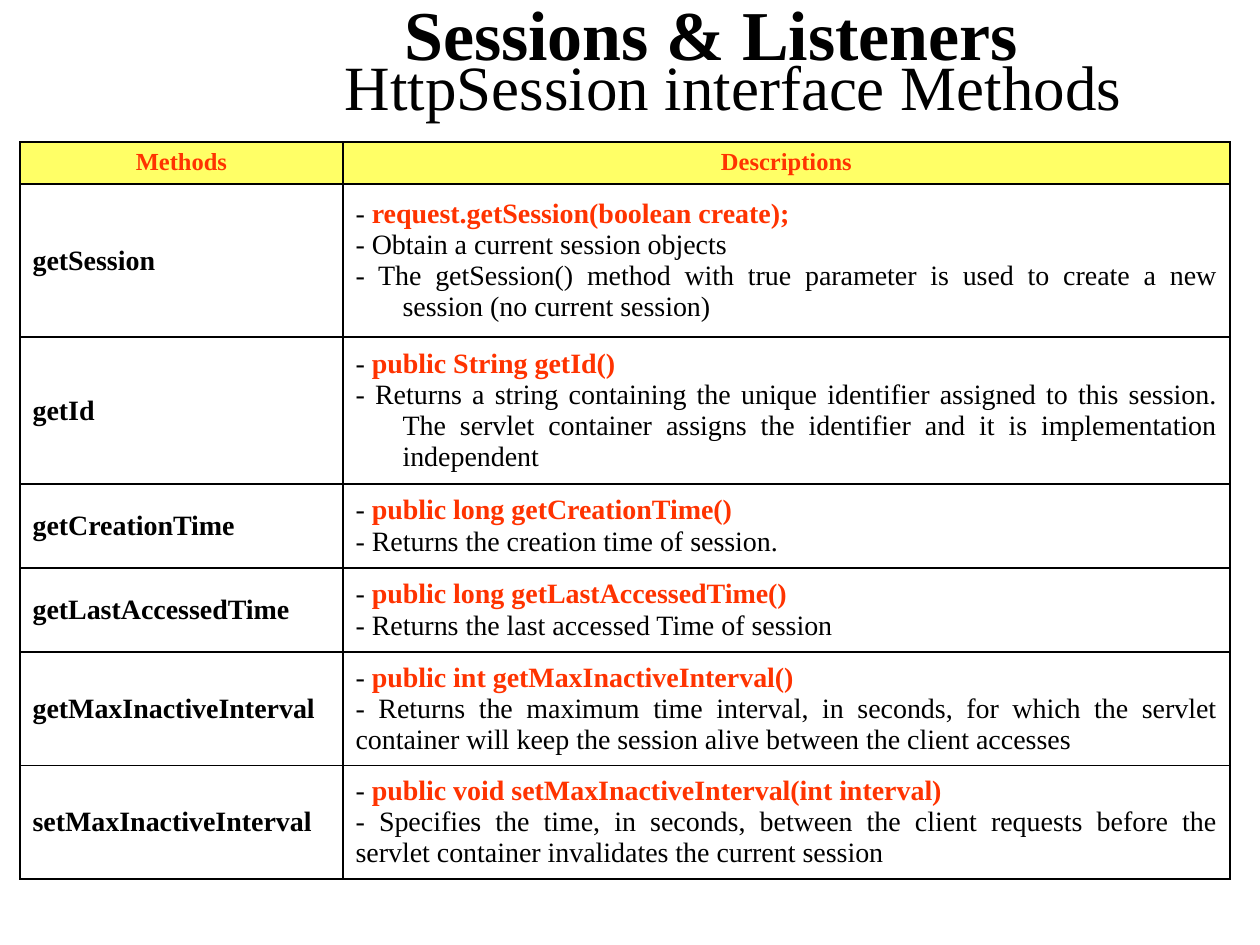
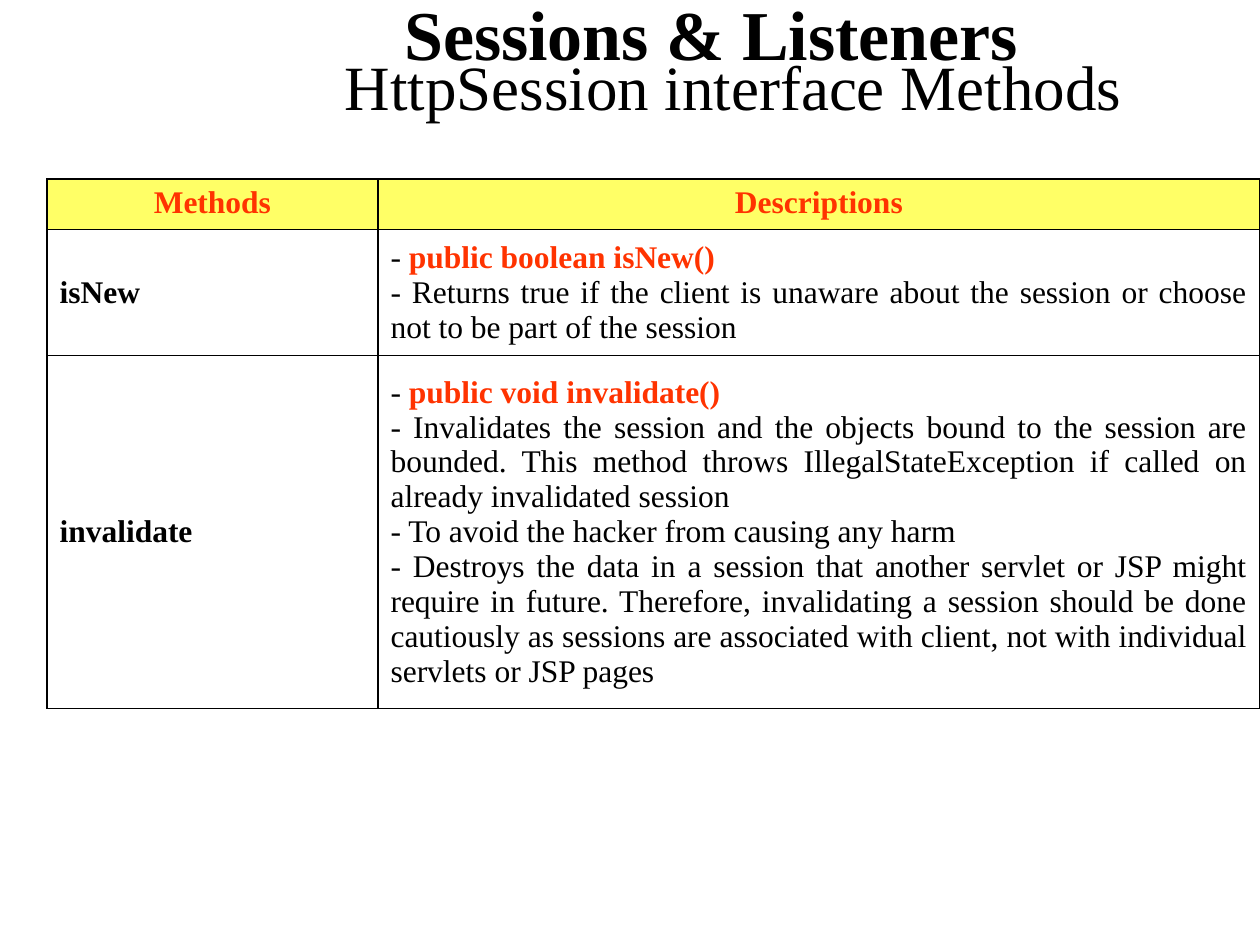
from dataclasses import dataclass

from lxml import etree
from pptx import Presentation
from pptx.dml.color import RGBColor
from pptx.enum.text import MSO_ANCHOR, PP_ALIGN
from pptx.oxml.ns import qn
from pptx.util import Emu, Pt

MIDDLE = MSO_ANCHOR.MIDDLE
TOP = MSO_ANCHOR.TOP
LEFT, CENTER, JUSTIFY = PP_ALIGN.LEFT, PP_ALIGN.CENTER, PP_ALIGN.JUSTIFY
EMU_PER_PX = 914400 / 126


@dataclass(frozen=True)
class Theme:
    font: str = "Times New Roman"
    ink: str = "000000"
    accent: str = "FF3300"
    header_fill: str = "FFFF66"
    border_pt: int = 1
    topic_size: int = 40
    topic_gap_size: int = 48
    subtitle_gap_size: int = 54
    subtitle_size: int = 36
    title_spacing: float = 0.45
    hanging_px: int = 47


THEME = Theme()
TITLE_BOX = (183, 0, 1077, 145)
HEADINGS = ("Methods", "Descriptions")


@dataclass(frozen=True)
class Method:
    name: str
    signature: str
    notes: tuple
    height: int
    hanging: bool = False


@dataclass(frozen=True)
class MethodTable:
    origin: tuple
    columns: tuple
    header_height: int
    header_size: int
    body_size: int
    methods: tuple


SESSION_ACCESS = MethodTable(
    (20, 142), (323, 887), 42, 14, 16,
    (
        Method("getSession", "request.getSession(boolean create);", (
            "Obtain a current session objects",
            "The getSession() method with true parameter is used to create a new "
            "session (no current session)",
        ), 153, True),
        Method("getId", "public String getId()", (
            "Returns a string containing the unique identifier assigned to this session. "
            "The servlet container assigns the identifier and it is implementation independent",
        ), 147, True),
        Method("getCreationTime", "public long getCreationTime()", (
            "Returns the creation time of session.",
        ), 84, True),
        Method("getLastAccessedTime", "public long getLastAccessedTime()", (
            "Returns the last accessed Time of session",
        ), 84),
        Method("getMaxInactiveInterval", "public int getMaxInactiveInterval()", (
            "Returns the maximum time interval, in seconds, for which the servlet "
            "container will keep the session alive between the client accesses",
        ), 113),
        Method("setMaxInactiveInterval", "public void setMaxInactiveInterval(int interval)", (
            "Specifies the time, in seconds, between the client requests before the "
            "servlet container invalidates the current session",
        ), 113),
    ),
)

SESSION_END = MethodTable(
    (47, 179), (331, 882), 50, 18, 18,
    (
        Method("isNew", "public boolean isNew()", (
            "Returns true if the client is unaware about the session or choose "
            "not to be part of the session",
        ), 126),
        Method("invalidate", "public void invalidate()", (
            "Invalidates the session and the objects bound to the session are bounded. "
            "This method throws IllegalStateException if called on already invalidated session",
            "To avoid the hacker from causing any harm",
            "Destroys the data in a session that another servlet or JSP might require in future. "
            "Therefore, invalidating a session should be done cautiously as sessions are "
            "associated with client, not with individual servlets or JSP pages",
        ), 353),
    ),
)


def px(length):
    return Emu(round(length * EMU_PER_PX))


def add_run(paragraph, text, size, color=THEME.ink, bold=False):
    run = paragraph.add_run()
    run.text = text
    run.font.name = THEME.font
    run.font.size = Pt(size)
    run.font.bold = bold
    run.font.color.rgb = RGBColor.from_string(color)


def add_title(slide, box):
    frame = slide.shapes.add_textbox(*map(px, box)).text_frame
    frame.word_wrap = True
    frame.vertical_anchor = MIDDLE
    heading = frame.paragraphs[0]
    heading.alignment = CENTER
    heading.line_spacing = THEME.title_spacing
    add_run(heading, "Sessions & Listeners", THEME.topic_size, bold=True)
    add_run(heading, " ", THEME.topic_gap_size, bold=True)
    heading.add_line_break()
    add_run(heading, " ", THEME.subtitle_gap_size, bold=True)
    add_run(heading, "HttpSession interface Methods", THEME.subtitle_size)


def style_cell(cell, anchor, fill=None):
    cell.vertical_anchor = anchor
    properties = cell._tc.get_or_add_tcPr()
    for side in ("a:lnL", "a:lnR", "a:lnT", "a:lnB"):
        border = etree.SubElement(properties, qn(side), w=str(Pt(THEME.border_pt)))
        solid = etree.SubElement(border, qn("a:solidFill"))
        etree.SubElement(solid, qn("a:srgbClr"), val=THEME.ink)
    if fill:
        cell.fill.solid()
        cell.fill.fore_color.rgb = RGBColor.from_string(fill)
    else:
        cell.fill.background()


def write_line(paragraph, runs, size, alignment, hanging=False):
    paragraph.alignment = alignment
    if hanging:
        indent = px(THEME.hanging_px)
        properties = paragraph._p.get_or_add_pPr()
        properties.set("marL", str(indent))
        properties.set("indent", str(-indent))
    for text, color, bold in runs:
        add_run(paragraph, text, size, color, bold)


def fill_method_row(name_cell, description_cell, method, size):
    for cell in (name_cell, description_cell):
        style_cell(cell, MIDDLE)
    write_line(name_cell.text_frame.paragraphs[0],
               [(method.name, THEME.ink, True)], size, LEFT, method.hanging)
    description = description_cell.text_frame
    write_line(description.paragraphs[0],
               [("- ", THEME.ink, False), (method.signature, THEME.accent, True)],
               size, JUSTIFY, method.hanging)
    for note in method.notes:
        write_line(description.add_paragraph(), [(f"- {note}", THEME.ink, False)],
                   size, JUSTIFY, method.hanging)


def add_method_table(slide, content):
    heights = [content.header_height] + [method.height for method in content.methods]
    box = (*content.origin, sum(content.columns), sum(heights))
    grid = slide.shapes.add_table(len(heights), len(content.columns), *map(px, box)).table
    grid.first_row = False
    grid.horz_banding = False
    for column, width in zip(grid.columns, content.columns):
        column.width = px(width)
    for row, height in zip(grid.rows, heights):
        row.height = px(height)
    for index, heading in enumerate(HEADINGS):
        cell = grid.cell(0, index)
        style_cell(cell, TOP, THEME.header_fill)
        write_line(cell.text_frame.paragraphs[0], [(heading, THEME.accent, True)],
                   content.header_size, CENTER)
    for index, method in enumerate(content.methods, 1):
        fill_method_row(grid.cell(index, 0), grid.cell(index, 1), method, content.body_size)


def add_methods_slide(deck, content):
    slide = deck.slides.add_slide(deck.slide_layouts[6])
    add_title(slide, TITLE_BOX)
    add_method_table(slide, content)


def main():
    deck = Presentation()
    deck.slide_width, deck.slide_height = px(1260), px(945)
    for content in (SESSION_ACCESS, SESSION_END):
        add_methods_slide(deck, content)
    deck.save("out.pptx")


if __name__ == "__main__":
    main()
